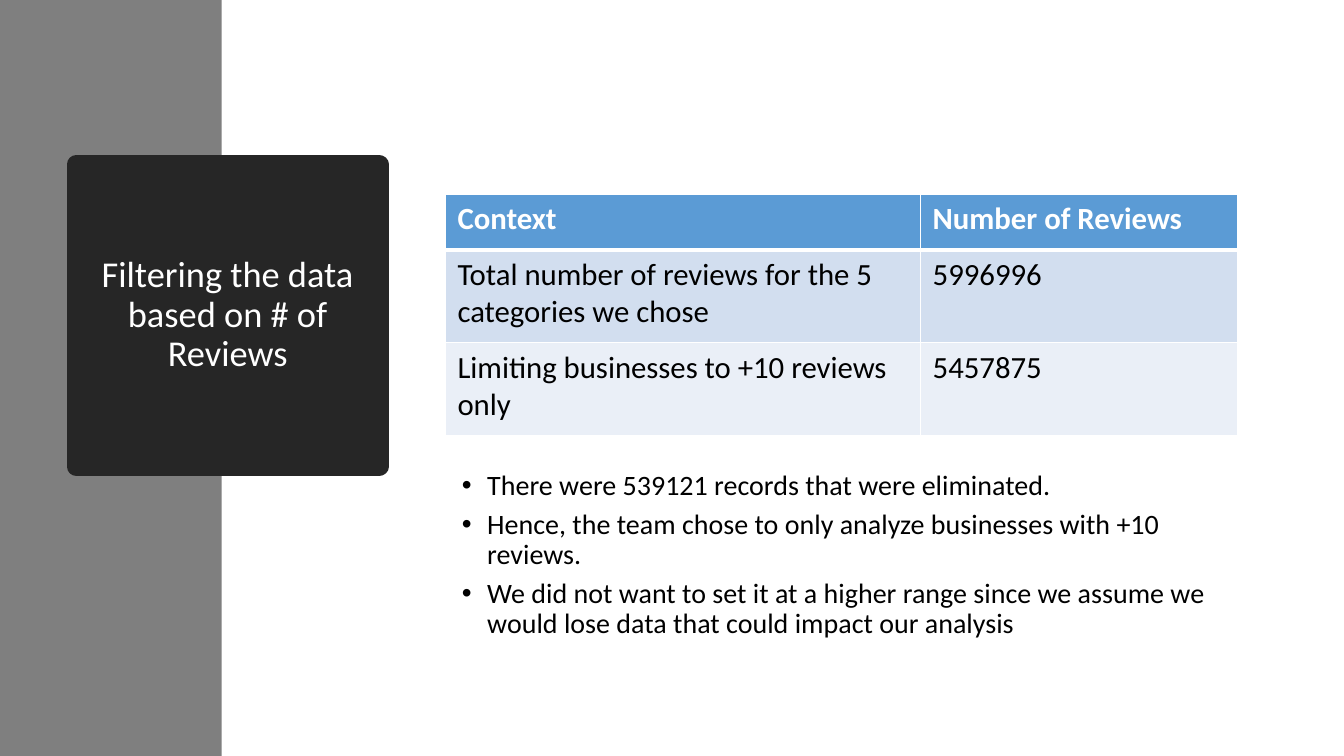
from lxml import etree
from pptx import Presentation
from pptx import util as u
from pptx.dml.color import RGBColor
from pptx.enum import shapes, text
from pptx.oxml.ns import qn

FONT = "Calibri"
WHITE = RGBColor(0xFF, 0xFF, 0xFF)
BLACK = RGBColor(0x00, 0x00, 0x00)
GREY = RGBColor(0x7F, 0x7F, 0x7F)
CHARCOAL = RGBColor(0x26, 0x26, 0x26)
HEADER_BLUE = RGBColor(0x5B, 0x9B, 0xD5)
ROW_FILLS = [RGBColor(0xD2, 0xDE, 0xEF), RGBColor(0xEA, 0xEF, 0xF7)]

TITLE = "Filtering the data based on # of Reviews"
REVIEW_ROWS = [
    ("Context", "Number of Reviews"),
    ("Total number of reviews for the 5 categories we chose", "5996996"),
    ("Limiting businesses to +10 reviews only", "5457875"),
]
FINDINGS = [
    "There were 539121 records that were eliminated.",
    "Hence, the team chose to only analyze businesses with +10 reviews.",
    "We did not want to set it at a higher range since we assume we "
    "would lose data that could impact our analysis",
]


def style_font(paragraph, size, color, bold=False):
    for run in paragraph.runs:
        run.font.name = FONT
        run.font.size = u.Pt(size)
        run.font.bold = bold
        run.font.color.rgb = color


def set_borders(cell, widths):
    """Draw white cell borders; widths maps each side to points."""
    properties = cell._tc.get_or_add_tcPr()
    for index, side in enumerate("LRTB"):
        line = etree.Element(qn(f"a:ln{side}"), w=str(u.Pt(widths[side])))
        fill = etree.SubElement(line, qn("a:solidFill"))
        etree.SubElement(fill, qn("a:srgbClr"), val=str(WHITE))
        properties.insert(index, line)


def add_sidebar(slide, left, top, width, height):
    sidebar = slide.shapes.add_shape(
        shapes.MSO_SHAPE.RECTANGLE, left, top, width, height)
    sidebar.shadow.inherit = False
    sidebar.fill.solid()
    sidebar.fill.fore_color.rgb = GREY
    sidebar.line.fill.background()
    # Keep the band behind the title
    slide.shapes.title.element.addprevious(sidebar.element)


def place_title(slide, left, top, width, height):
    title = slide.shapes.title
    title.left, title.top, title.width, title.height = left, top, width, height
    title.fill.solid()
    title.fill.fore_color.rgb = CHARCOAL
    # The thick outline rounds the corners
    title.line.color.rgb = CHARCOAL
    title.line.width = u.Pt(13.75)
    frame = title.text_frame
    frame.text = TITLE
    frame.word_wrap = True
    frame.auto_size = text.MSO_AUTO_SIZE.NONE
    frame.vertical_anchor = text.MSO_ANCHOR.MIDDLE
    paragraph = frame.paragraphs[0]
    paragraph.alignment = text.PP_ALIGN.CENTER
    paragraph.line_spacing = 0.9
    style_font(paragraph, 26, WHITE)


def add_review_table(slide, left, top, width, height):
    table = slide.shapes.add_table(
        len(REVIEW_ROWS), 2, left, top, width, height).table
    table.columns[0].width = int(width * 0.6)
    table.columns[1].width = width - table.columns[0].width
    header_height = u.Cm(1.4)
    for row_index, values in enumerate(REVIEW_ROWS):
        header = row_index == 0
        table.rows[row_index].height = (
            header_height if header
            else (height - header_height) // (len(REVIEW_ROWS) - 1))
        for column_index, value in enumerate(values):
            cell = table.cell(row_index, column_index)
            cell.text = value
            cell.margin_left = cell.margin_right = u.Cm(0.3)
            cell.margin_top = cell.margin_bottom = u.Cm(0.15)
            cell.fill.solid()
            cell.fill.fore_color.rgb = (
                HEADER_BLUE if header else ROW_FILLS[(row_index - 1) % 2])
            set_borders(cell, {"L": 1, "R": 1,
                               "T": 3 if row_index == 1 else 1,
                               "B": 3 if header else 1})
            style_font(cell.text_frame.paragraphs[0], 22,
                       WHITE if header else BLACK, header)


def add_findings(slide, left, top, width, height):
    frame = slide.shapes.add_textbox(left, top, width, height).text_frame
    frame.word_wrap = True
    frame.text = "\n".join(FINDINGS)
    for paragraph in frame.paragraphs:
        properties = paragraph._p.get_or_add_pPr()
        properties.set("marL", str(u.Cm(0.8)))
        properties.set("indent", str(-u.Cm(0.64)))
        etree.SubElement(properties, qn("a:buFont"), typeface="Arial")
        etree.SubElement(properties, qn("a:buChar"), char="•")
        paragraph.line_spacing = 0.9
        paragraph.space_after = u.Pt(6)
        style_font(paragraph, 20, BLACK)


def main():
    presentation = Presentation()
    presentation.slide_width = u.Cm(33.87)
    presentation.slide_height = u.Cm(19.05)
    slide = presentation.slides.add_slide(presentation.slide_layouts[5])

    # Left side: grey band and title block
    add_sidebar(slide, 0, 0, u.Cm(5.59), presentation.slide_height)
    place_title(slide, u.Cm(1.93), u.Cm(4.14), u.Cm(7.62), u.Cm(7.62))

    # Right side: table above the findings
    content_left, content_width = u.Cm(11.23), u.Cm(19.96)
    add_review_table(slide, content_left, u.Cm(4.9), content_width, u.Cm(6.08))
    add_findings(slide, content_left, u.Cm(11.76), content_width, u.Cm(4.75))

    presentation.save("out.pptx")


if __name__ == "__main__":
    main()
